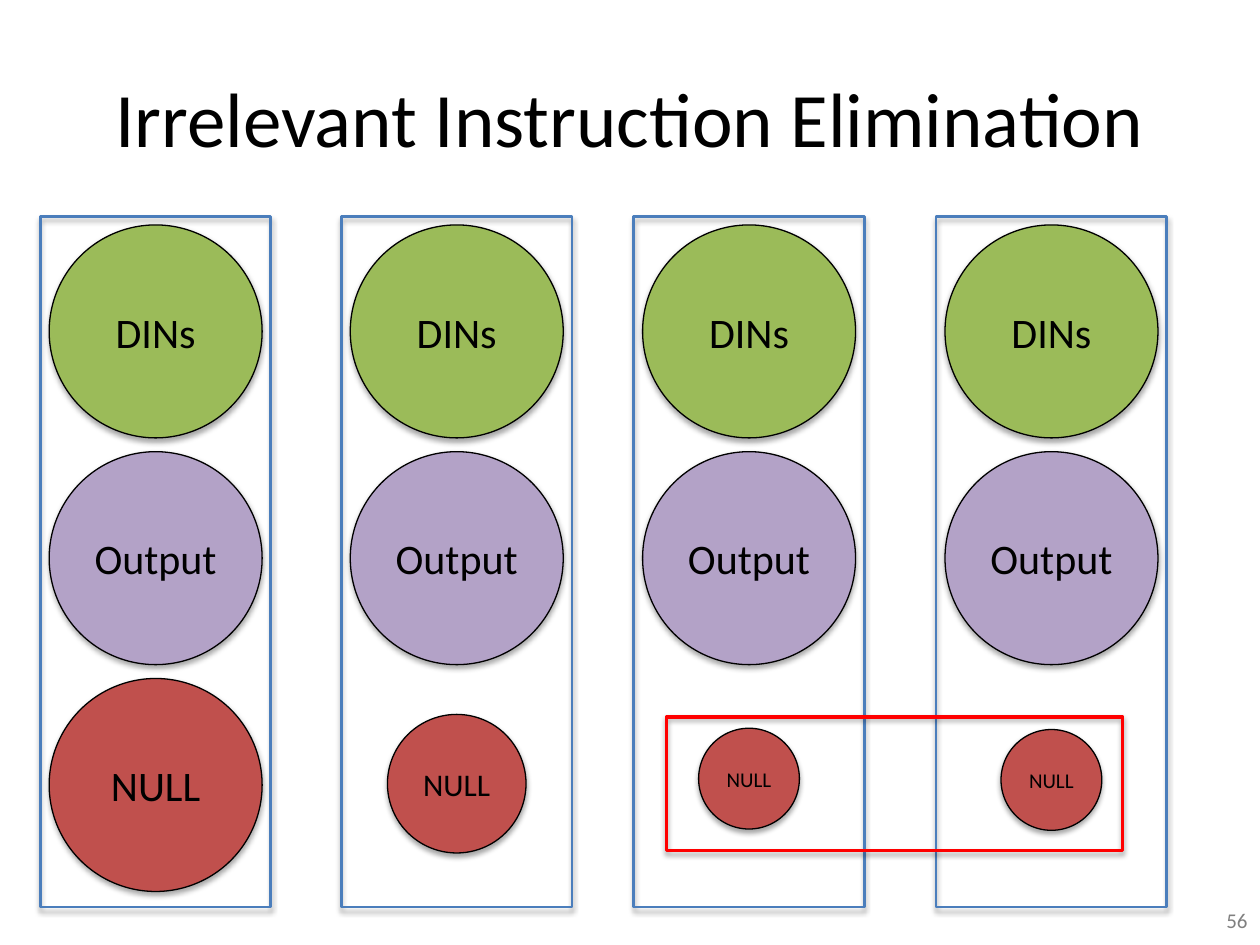
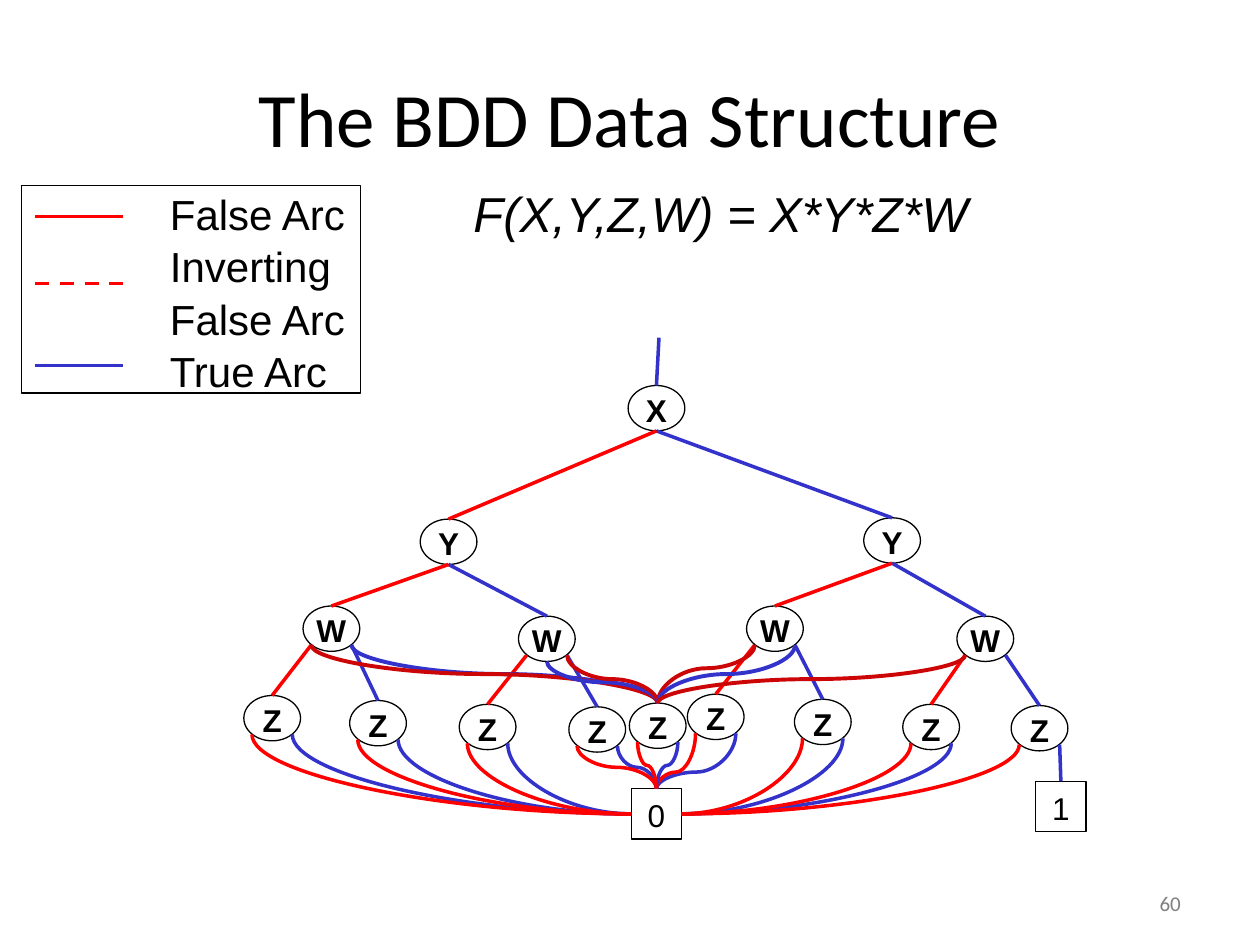
from dataclasses import dataclass

from lxml import etree
from pptx import Presentation
from pptx import util as u
from pptx.dml.color import RGBColor
from pptx.enum import dml, shapes, text
from pptx.oxml import ns

COLUMNS, ROWS = 10, 7.5  # slide grid; every position below is in grid cells
CELL = u.Inches(1)


@dataclass(frozen=True)
class Theme:
    ink: str = "000000"
    paper: str = "FFFFFF"
    muted: str = "808080"
    frame: str = "4B7EBC"
    din: str = "9BBB59"
    output: str = "B3A2C7"
    null: str = "C0504D"
    false_arc: str = "FF0000"
    true_arc: str = "3333CC"
    merged_arc: str = "CC0507"
    heading_font: str = "Calibri"
    diagram_font: str = "Arial"
    title_size: float = 44
    formula_size: float = 28
    label_size: float = 24
    node_size: float = 18
    small_size: float = 12
    thin: float = 0.75
    arc: float = 2
    merged: float = 2.25


THEME = Theme()


@dataclass(frozen=True)
class Node:
    """A decision node, given by its centre; arcs leave from its lower half."""
    label: str
    x: float
    y: float
    width = 0.45
    height = 0.36

    @property
    def top(self):
        return self.x, self.y - self.height / 2

    @property
    def bottom(self):
        return self.x, self.y + self.height / 2

    @property
    def false_leg(self):
        return self.x - 0.16, self.y + 0.13

    @property
    def true_leg(self):
        return self.x + 0.16, self.y + 0.13


def cells(*values):
    return [round(value * CELL) for value in values]


def style_text(frame, size, font=THEME.heading_font, color=THEME.ink,
               align=text.PP_ALIGN.CENTER, spacing=None, bold=False, italic=False):
    for para in frame.paragraphs:
        para.alignment = align
        if spacing:
            para.line_spacing = spacing
        for span in para.runs:
            span.font.name, span.font.size = font, u.Pt(size)
            span.font.bold, span.font.italic = bold, italic
            span.font.color.rgb = RGBColor.from_string(color)


def add_text(slide, words, area, size, wrap=True, anchor=text.MSO_ANCHOR.TOP, **style):
    box = slide.shapes.add_textbox(*cells(*area))
    frame = box.text_frame
    frame.text = words
    frame.word_wrap = wrap
    frame.vertical_anchor = anchor
    style_text(frame, size, **style)


def add_figure(slide, kind, area, fill=None, line=THEME.ink, width=THEME.thin,
               shadow=False, words="", **style):
    figure = slide.shapes.add_shape(kind, *cells(*area))
    if fill:
        figure.fill.solid()
        figure.fill.fore_color.rgb = RGBColor.from_string(fill)
    else:
        figure.fill.background()
    figure.line.color.rgb = RGBColor.from_string(line)
    figure.line.width = u.Pt(width)
    figure.shadow.inherit = False
    if shadow:
        add_soft_shadow(figure)
    if words:
        frame = figure.text_frame
        frame.text = words
        frame.word_wrap = False
        frame.vertical_anchor = text.MSO_ANCHOR.MIDDLE
        style_text(frame, **style)


def add_soft_shadow(figure):
    effects = figure._element.spPr.find(ns.qn("a:effectLst"))
    outer = etree.SubElement(effects, ns.qn("a:outerShdw"), blurRad=str(u.Pt(3.1)),
                             dist=str(u.Pt(1.8)), dir="5400000", rotWithShape="0")
    tint = etree.SubElement(outer, ns.qn("a:srgbClr"), val=THEME.ink)
    etree.SubElement(tint, ns.qn("a:alpha"), val="35000")


def add_line(slide, start, end, color, width=THEME.arc, dashed=False,
             kind=shapes.MSO_CONNECTOR.STRAIGHT):
    line = slide.shapes.add_connector(kind, *cells(*start, *end))
    line.line.color.rgb = RGBColor.from_string(color)
    line.line.width = u.Pt(width)
    if dashed:
        line.line.dash_style = dml.MSO_LINE.DASH
    etree.SubElement(line._element.spPr, ns.qn("a:effectLst"))
    return line


def add_side_curve(slide, side, leg, color):
    """Quarter curve that leaves a box sideways and rises into a node leg."""
    curve = add_line(slide, side, leg, color, kind=shapes.MSO_CONNECTOR.CURVE)
    curve._element.spPr.find(ns.qn("a:prstGeom")).set("prst", "curvedConnector2")


def add_drop_curve(slide, leg, target, color, width=THEME.arc, bend=0.5):
    """S-curve that leaves a leg downwards and enters its target from above."""
    (x1, y1), (x2, y2) = leg, target
    curve = add_line(slide, leg, target, color, width, kind=shapes.MSO_CONNECTOR.CURVE)
    drop, reach = y2 - y1, abs(x2 - x1)
    curve.left, curve.top, curve.width, curve.height = cells(
        (x1 + x2 - drop) / 2, (y1 + y2 - reach) / 2, drop, reach)
    frame = curve._element.spPr.find(ns.qn("a:xfrm"))
    for flip in ("flipH", "flipV"):
        frame.attrib.pop(flip, None)
    frame.set("rot", str((270 if x2 > x1 else 90) * 60000))
    if x2 > x1:
        frame.set("flipH", "1")
    guides = curve._element.spPr.find(ns.qn("a:prstGeom")).find(ns.qn("a:avLst"))
    etree.SubElement(guides, ns.qn("a:gd"), name="adj1", fmla=f"val {round(bend * 100000)}")


def add_titled_slide(deck, title, number, number_left, number_top):
    slide = deck.slides.add_slide(deck.slide_layouts[5])
    heading = slide.shapes.title
    heading.left, heading.top, heading.width, heading.height = cells(0.5, 0.3, 9, 1.25)
    heading.text_frame.text = title
    heading.text_frame.vertical_anchor = text.MSO_ANCHOR.MIDDLE
    style_text(heading.text_frame, THEME.title_size)
    add_text(slide, number, (number_left, number_top, 2.33, 0.4), THEME.small_size,
             anchor=text.MSO_ANCHOR.MIDDLE, color=THEME.muted, align=text.PP_ALIGN.RIGHT)
    return slide


def add_ball(slide, words, center_x, center_y, diameter, fill, size=THEME.label_size):
    area = (center_x - diameter / 2, center_y - diameter / 2, diameter, diameter)
    add_figure(slide, shapes.MSO_SHAPE.OVAL, area, fill, shadow=True, words=words, size=size)


def add_elimination_slide(deck):
    slide = add_titled_slide(deck, "Irrelevant Instruction Elimination", "56", 7.67, 7.1)
    frame_width, ball = 1.83, 1.69
    din_y, output_y = 2.63, 4.43
    stages = [  # frame left, then centre row, diameter and type size of NULL
        (0.32, 6.23, ball, THEME.label_size),
        (2.71, 6.22, 1.1, THEME.node_size),
        (5.03, 6.18, 0.8, THEME.small_size),
        (7.43, 6.19, 0.8, THEME.small_size),
    ]
    for left, null_y, null_ball, null_size in stages:
        center = left + frame_width / 2
        add_figure(slide, shapes.MSO_SHAPE.RECTANGLE, (left, 1.72, frame_width, 5.48),
                   line=THEME.frame, width=1.5, shadow=True)
        add_ball(slide, "DINs", center, din_y, ball, THEME.din)
        add_ball(slide, "Output", center, output_y, ball, THEME.output)
        add_ball(slide, "NULL", center, null_y, null_ball, THEME.null, null_size)
    add_figure(slide, shapes.MSO_SHAPE.RECTANGLE, (5.29, 5.69, 3.62, 1.06),
               line=THEME.false_arc, width=2, shadow=True)


def add_legend(slide):
    add_figure(slide, shapes.MSO_SHAPE.RECTANGLE, (0.17, 1.47, 2.69, 1.65))
    add_text(slide, "False Arc\nInverting\nFalse Arc\nTrue Arc", (1.25, 1.43, 1.81, 1.71),
             THEME.label_size, font=THEME.diagram_font, align=text.PP_ALIGN.LEFT, spacing=1.04)
    for y, color, dashed in ((1.72, THEME.false_arc, False), (2.25, THEME.false_arc, True),
                             (2.9, THEME.true_arc, False)):
        add_line(slide, (0.28, y), (0.98, y), color, dashed=dashed)


def add_node(slide, node):
    area = (node.x - node.width / 2, node.y - node.height / 2, node.width, node.height)
    add_figure(slide, shapes.MSO_SHAPE.OVAL, area, words=node.label, size=THEME.node_size,
               font=THEME.diagram_font, spacing=1.08, bold=True)


def add_terminal(slide, label, x, y, side):
    add_figure(slide, shapes.MSO_SHAPE.RECTANGLE, (x - side / 2, y - side / 2, side, side),
               THEME.paper, words=label, size=THEME.node_size, font=THEME.diagram_font,
               spacing=1.08)


def add_bdd_slide(deck):
    slide = add_titled_slide(deck, "The BDD Data Structure", "60", 7.14, 6.97)
    add_legend(slide)
    add_text(slide, "F(X,Y,Z,W) = X*Y*Z*W", (3.66, 1.41, 4.26, 0.57), THEME.formula_size,
             wrap=False, font=THEME.diagram_font, align=text.PP_ALIGN.LEFT, italic=True)

    root = Node("X", 5.21, 3.24)
    y_nodes = [Node("Y", 3.56, 4.3), Node("Y", 7.08, 4.29)]
    w_nodes = [Node("W", x, y) for x, y in
               ((2.63, 4.99), (4.34, 5.07), (6.15, 4.99), (7.82, 5.07))]
    z_nodes = [Node("Z", x, y) for x, y in
               ((2.16, 5.7), (3, 5.74), (3.87, 5.77), (4.74, 5.79),
                (5.68, 5.69), (6.53, 5.73), (7.39, 5.77), (8.25, 5.78))]
    shared = Node("Z", 5.22, 5.76)
    for node in [root, *y_nodes, *w_nodes, *z_nodes, shared]:
        add_node(slide, node)
    side, zero_x, zero_y, one_x, one_y = 0.4, 5.21, 6.46, 8.42, 6.4
    add_terminal(slide, "0", zero_x, zero_y, side)
    add_terminal(slide, "1", one_x, one_y, side)

    add_line(slide, (5.23, 2.68), root.top, THEME.true_arc)
    for parents, children in (([root], y_nodes), (y_nodes, w_nodes), (w_nodes, z_nodes)):
        for index, parent in enumerate(parents):
            low, high = children[2 * index:2 * index + 2]
            forked = parent.label == "W"
            add_line(slide, parent.true_leg if forked else parent.bottom, high.top,
                     THEME.true_arc)
            add_line(slide, parent.false_leg if forked else parent.bottom, low.top,
                     THEME.false_arc)

    zero_top = (zero_x, zero_y - side / 2)
    zero_left, zero_right = (zero_x - side / 2, zero_y), (zero_x + side / 2, zero_y)
    sides = [zero_left] * 3 + [None] * 2 + [zero_right] * 3  # None enters from above
    true_legs = [node.true_leg for node in z_nodes[:-1]]
    false_legs = [node.false_leg for node in z_nodes]
    for legs, color in ((true_legs, THEME.true_arc), (false_legs, THEME.false_arc)):
        for index, (leg, entry) in enumerate(zip(legs, sides)):
            if entry:
                add_side_curve(slide, entry, leg, color)
            else:
                add_drop_curve(slide, leg, zero_top, color, bend=0.7 if index == 4 else 0.5)
    add_drop_curve(slide, shared.true_leg, zero_top, THEME.true_arc)
    add_drop_curve(slide, shared.false_leg, zero_top, THEME.false_arc)
    add_line(slide, z_nodes[-1].true_leg, (one_x, one_y - side / 2), THEME.true_arc)

    first, second, third, fourth = w_nodes
    for leg, color, bend in (
            (first.true_leg, THEME.true_arc, 0.5), (first.false_leg, THEME.merged_arc, 0.5),
            (second.bottom, THEME.true_arc, 0.5), (second.true_leg, THEME.merged_arc, 0.5),
            (third.false_leg, THEME.merged_arc, 0.4), (third.true_leg, THEME.true_arc, 0.5),
            (fourth.false_leg, THEME.merged_arc, 0.5)):
        add_drop_curve(slide, leg, shared.top, color, THEME.merged, bend)


def main():
    deck = Presentation()
    deck.slide_width, deck.slide_height = cells(COLUMNS, ROWS)
    add_elimination_slide(deck)
    add_bdd_slide(deck)
    deck.save("out.pptx")


if __name__ == "__main__":
    main()
